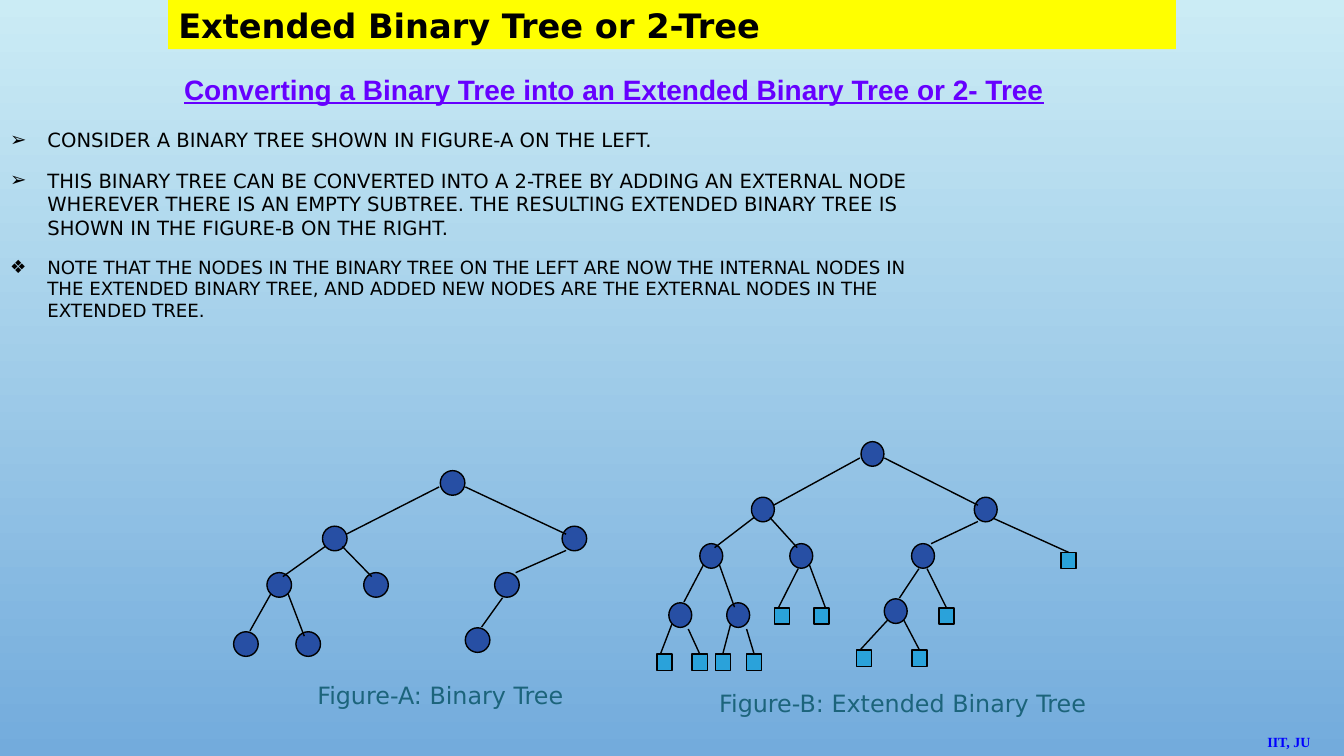
"""Build the slide that turns a binary tree into an extended binary tree."""
from dataclasses import dataclass

from lxml.etree import SubElement
from pptx import Presentation
from pptx.dml.color import RGBColor as RGB
from pptx.enum.shapes import MSO_CONNECTOR as CONN, MSO_SHAPE as SHAPE
from pptx.enum.text import MSO_ANCHOR as ANCHOR, MSO_AUTO_SIZE as AUTO, PP_ALIGN as ALIGN
from pptx.oxml.ns import qn
from pptx.shapes.autoshape import Shape
from pptx.shapes.connector import Connector
from pptx.shapes.shapetree import GroupShapes
from pptx.slide import Slide
from pptx.text.text import TextFrame
from pptx.util import Cm, Pt

COLORS = {
    "sky_top": "CBECF5", "sky_bottom": "73ABDC", "banner": "FFFF00", "black": "000000",
    "heading": "6600FF", "caption": "1C647B", "footer": "0000FF",
    "internal": "274FA4", "external": "2AA2DA",
}
NODE_SIZE = 0.62
LEAF_W, LEAF_H = 0.38, 0.41


@dataclass(frozen=True)
class Label:
    """A line of text with its box and type."""
    text: str
    left: float
    top: float
    width: float
    height: float
    size: int
    font: str
    color: str
    bold: bool = False
    underline: bool = False


@dataclass(frozen=True)
class Bullet:
    """A list item."""
    mark: str
    text: str
    size: int


@dataclass(frozen=True)
class Tree:
    """Where a drawing of the binary tree starts and how wide it is."""
    left: float
    top: float
    x_scale: float


@dataclass(frozen=True)
class Leaf:
    """An external node, the start of its link and the shift of the link's end."""
    left: float
    top: float
    from_x: float
    from_y: float
    shift: float = 0


NODES = [
    (5.21, 0), (2.24, 1.4), (8.28, 1.4), (0.84, 2.57), (3.28, 2.57),
    (6.58, 2.57), (0, 4.06), (1.57, 4.06), (5.84, 3.96),
]
LINKS = [
    (5.18, 0.41, 2.84, 1.6), (5.84, 0.41, 8.38, 1.6), (2.31, 1.91, 1.24, 2.67),
    (2.74, 1.91, 3.48, 2.67), (8.38, 2.01, 7.11, 2.57), (0.94, 3.1, 0.41, 4.04),
    (1.37, 3.1, 1.78, 4.17), (6.78, 3.2, 6.25, 3.94),
]
FIGURE_A = Tree(5.89, 11.86, 1)
FIGURE_B = Tree(16.86, 11.13, 0.93)
LEAVES = [
    Leaf(19.53, 15.32, 20.12, 14.33, -0.1), Leaf(20.52, 15.32, 20.4, 14.22, 0.1),
    Leaf(23.67, 15.32, 23.37, 14.33), Leaf(26.75, 13.92, 25.04, 13.06),
    Leaf(16.56, 16.48, 16.94, 15.72, -0.1), Leaf(17.45, 16.48, 17.35, 15.85),
    Leaf(18.03, 16.48, 18.42, 15.72), Leaf(18.82, 16.48, 18.82, 15.85),
    Leaf(21.59, 16.38, 22.38, 15.62, -0.1), Leaf(22.99, 16.38, 22.78, 15.62),
]
TITLE = Label("Extended Binary Tree or 2-Tree", 4.24, 0, 25.4, 1.24, 24, "DejaVu Sans", "black", True)
LABELS = [
    Label("Converting a Binary Tree into an Extended Binary Tree or 2- Tree",
          4.39, 1.68, 23.7, 1.12, 20, "Arial", "heading", True, True),
    Label("Figure-A: Binary Tree", 7.75, 17.02, 7.14, 0.99, 17, "DejaVu Sans", "caption"),
    Label("Figure-B: Extended Binary Tree", 17.88, 17.22, 10.8, 0.99, 17, "DejaVu Sans", "caption"),
    Label("IIT, JU", 31.7, 18.34, 2.1, 0.69, 10, "Times New Roman", "footer", True),
]
BULLETS = [
    Bullet("➢", "CONSIDER A BINARY TREE SHOWN IN FIGURE-A ON THE LEFT.", 14),
    Bullet("➢", "THIS BINARY TREE CAN BE CONVERTED INTO A 2-TREE BY ADDING AN EXTERNAL NODE "
           "WHEREVER THERE IS AN EMPTY SUBTREE. THE RESULTING EXTENDED BINARY TREE IS "
           "SHOWN IN THE FIGURE-B ON THE RIGHT.", 14),
    Bullet("❖", "NOTE THAT THE NODES IN THE BINARY TREE ON THE LEFT ARE NOW THE INTERNAL NODES IN "
           "THE EXTENDED BINARY TREE, AND ADDED NEW NODES ARE THE EXTERNAL NODES IN THE "
           "EXTENDED TREE.", 13),
]


def color(name: str) -> RGB:
    return RGB.from_string(COLORS[name])


def place(sp: Shape, left: float, top: float, width: float, height: float) -> None:
    sp.left, sp.top, sp.width, sp.height = Cm(left), Cm(top), Cm(width), Cm(height)


def write_label(sp: Shape, label: Label) -> None:
    place(sp, label.left, label.top, label.width, label.height)
    tf = sp.text_frame
    tf.text = label.text
    tf.word_wrap = True
    tf.auto_size = AUTO.NONE
    tf.vertical_anchor = ANCHOR.MIDDLE
    p = tf.paragraphs[0]
    p.alignment = ALIGN.LEFT
    f = p.runs[0].font
    f.name, f.size, f.bold, f.underline = label.font, Pt(label.size), label.bold, label.underline
    f.color.rgb = color(label.color)


def write_bullets(tf: TextFrame) -> None:
    tf.word_wrap = True
    tf.auto_size = AUTO.NONE
    tf.vertical_anchor = ANCHOR.TOP
    for i, item in enumerate(BULLETS):
        p = tf.paragraphs[0] if i == 0 else tf.add_paragraph()
        p.text = item.text
        ppr = p._p.get_or_add_pPr()
        ppr.set("marL", str(Cm(0.94)))
        ppr.set("indent", str(-Cm(0.94)))
        SubElement(SubElement(ppr, qn("a:buClr")), qn("a:srgbClr"), val=COLORS["black"])
        SubElement(ppr, qn("a:buChar"), char=item.mark)
        p.space_before = Pt(6 if i else 0)
        p.space_after = Pt(6)
        p.alignment = ALIGN.LEFT
        f = p.runs[0].font
        f.name, f.size = "DejaVu Sans", Pt(item.size)
        f.color.rgb = color("black")


def add_node(shapes: GroupShapes, kind: SHAPE, fill: str,
             left: float, top: float, width: float, height: float) -> Shape:
    sp = shapes.add_shape(kind, Cm(left), Cm(top), Cm(width), Cm(height))
    sp.shadow.inherit = False
    sp.fill.solid()
    sp.fill.fore_color.rgb = color(fill)
    sp.line.color.rgb = color("black")
    sp.line.width = Pt(1)
    return sp


def add_link(shapes: GroupShapes, x1: float, y1: float, x2: float, y2: float) -> Connector:
    link = shapes.add_connector(CONN.STRAIGHT, Cm(x1), Cm(y1), Cm(x2), Cm(y2))
    link.line.color.rgb = color("black")
    link.line.width = Pt(1)
    SubElement(link._element.spPr, qn("a:effectLst"))
    return link


def add_tree(s: Slide, tree: Tree) -> GroupShapes:
    shapes = s.shapes.add_group_shape().shapes
    for x, y in NODES:
        add_node(shapes, SHAPE.OVAL, "internal", tree.left + x * tree.x_scale, tree.top + y,
                 NODE_SIZE * tree.x_scale, NODE_SIZE)
    for x1, y1, x2, y2 in LINKS:
        add_link(shapes, tree.left + x1 * tree.x_scale, tree.top + y1,
                 tree.left + x2 * tree.x_scale, tree.top + y2)
    return shapes


def add_leaf(shapes: GroupShapes, leaf: Leaf) -> None:
    sp = add_node(shapes, SHAPE.RECTANGLE, "external", leaf.left, leaf.top, LEAF_W, LEAF_H)
    link = add_link(shapes, leaf.from_x, leaf.from_y, leaf.left + LEAF_W / 2 + leaf.shift, leaf.top)
    if not leaf.shift:
        link.end_connect(sp, 0)


def main() -> None:
    prs = Presentation()
    prs.slide_width, prs.slide_height = Cm(33.88), Cm(19.05)
    s = prs.slides.add_slide(prs.slide_layouts[1])
    sky = s.background.fill
    sky.gradient()
    sky.gradient_angle = 270
    for stop, name in zip(sky.gradient_stops, ("sky_top", "sky_bottom")):
        stop.color.rgb = color(name)
    title, body = s.shapes.title, s.placeholders[1]
    write_label(title, TITLE)
    title.fill.solid()
    title.fill.fore_color.rgb = color("banner")
    place(body, 0, 3.1, 23.62, 5.28)
    write_bullets(body.text_frame)
    add_tree(s, FIGURE_A)
    extended = add_tree(s, FIGURE_B)
    for leaf in LEAVES:
        add_leaf(extended, leaf)
    for label in LABELS:
        write_label(s.shapes.add_textbox(0, 0, 0, 0), label)
    prs.save("out.pptx")


if __name__ == "__main__":
    main()
